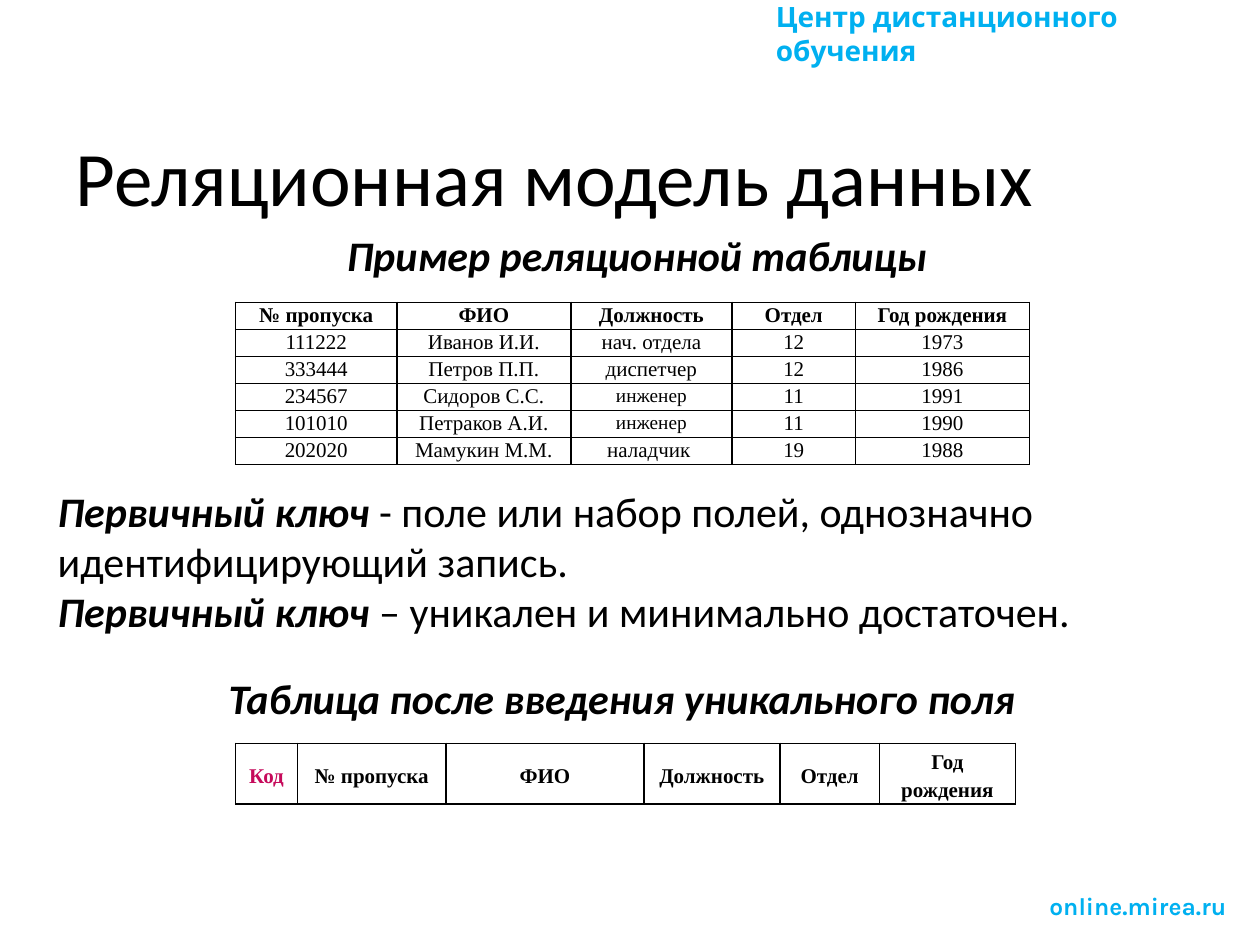
from lxml.etree import SubElement
from pptx import Presentation
from pptx.dml.color import RGBColor
from pptx.enum.text import MSO_ANCHOR as Anchor, MSO_AUTO_SIZE as AutoSize, PP_ALIGN as Align
from pptx.oxml.ns import qn
from pptx.util import Inches, Pt

COLORS = {"text": "000000", "brand": "00B0F0", "key": "C60A5B"}

TITLE = "Реляционная модель данных"
BRAND_LABELS = [
    ("Центр дистанционного обучения", 16, (6.06, -0.05, 3.94, 0.37)),
    ("online.mirea.ru", 14, (8.23, 7.02, 1.61, 0.34)),
]
CAPTIONS = [
    ("Пример реляционной таблицы", (0.5, 1.77, 9.11, 0.5)),
    ("Таблица после введения уникального поля", (1.69, 5.29, 6.49, 0.5)),
]
DEFINITIONS = [
    ("Первичный ключ", " - поле или набор полей, однозначно идентифицирующий запись."),
    ("Первичный ключ ", "– уникален и минимально достаточен."),
]
FIELDS = ["№ пропуска", "ФИО", "Должность", "Отдел", "Год рождения"]
EMPLOYEES = [
    ["111222", "Иванов И.И.", "нач. отдела", "12", "1973"],
    ["333444", "Петров П.П.", "диспетчер", "12", "1986"],
    ["234567", "Сидоров С.С.", "инженер", "11", "1991"],
    ["101010", "Петраков А.И.", "инженер", "11", "1990"],
    ["202020", "Мамукин М.М.", "наладчик ", "19", "1988"],
]
KEY_FIELD = "Код"
SMALL_CELL = "инженер"
TABLE_LEFT = 1.87


def add_run(paragraph, text, size, font="Calibri", color="text", bold=False, italic=False):
    run = paragraph.add_run()
    run.text = text
    run.font.name = font
    run.font.size = Pt(size)
    run.font.bold = bold
    run.font.italic = italic
    run.font.color.rgb = RGBColor.from_string(COLORS[color])


def add_text_box(slide, box):
    frame = slide.shapes.add_textbox(*map(Inches, box)).text_frame
    frame.word_wrap = True
    frame.auto_size = AutoSize.SHAPE_TO_FIT_TEXT
    return frame


def add_borders(cell):
    properties = cell._tc.get_or_add_tcPr()
    for side in ("a:lnL", "a:lnR", "a:lnT", "a:lnB"):
        line = SubElement(properties, qn(side), w=str(Pt(1)))
        fill = SubElement(line, qn("a:solidFill"))
        SubElement(fill, qn("a:srgbClr"), val=COLORS["text"])


def add_grid(slide, rows, widths, top, height, spacing, anchor):
    table = slide.shapes.add_table(
        len(rows), len(widths), Inches(TABLE_LEFT), Inches(top),
        Inches(sum(widths)), Inches(height),
    ).table
    table.first_row = table.horz_banding = False
    for column, width in zip(table.columns, widths):
        column.width = Inches(width)
    for row_index, row in enumerate(rows):
        for column_index, text in enumerate(row):
            cell = table.cell(row_index, column_index)
            add_borders(cell)
            cell.fill.background()
            cell.margin_left = cell.margin_right = Inches(0.03)
            cell.margin_top = cell.margin_bottom = 0
            cell.vertical_anchor = anchor
            paragraph = cell.text_frame.paragraphs[0]
            paragraph.alignment = Align.CENTER
            paragraph.line_spacing = spacing
            add_run(paragraph, text, 11 if text == SMALL_CELL else 12, "Times New Roman",
                    "key" if text == KEY_FIELD else "text", bold=row_index == 0)


presentation = Presentation()
presentation.slide_width, presentation.slide_height = Inches(10), Inches(7.5)
slide = presentation.slides.add_slide(presentation.slide_layouts[5])

for text, size, box in BRAND_LABELS:
    add_run(add_text_box(slide, box).paragraphs[0], text, size, "Karla", "brand", bold=True)

title = slide.shapes.title
title.left, title.top, title.width, title.height = map(Inches, (0.5, 1.06, 9, 0.76))
title.text_frame.auto_size = AutoSize.NONE
title.text_frame.vertical_anchor = Anchor.MIDDLE
paragraph = title.text_frame.paragraphs[0]
paragraph.alignment = Align.LEFT
paragraph.line_spacing = 0.9
add_run(paragraph, TITLE, 44)

for text, box in CAPTIONS:
    paragraph = add_text_box(slide, box).paragraphs[0]
    paragraph.alignment = Align.CENTER
    add_run(paragraph, text, 24, bold=True, italic=True)

add_grid(slide, [FIELDS] + EMPLOYEES, [1.28, 1.38, 1.28, 0.98, 1.38], 2.4, 1.28, 1.07, Anchor.TOP)
add_grid(slide, [[KEY_FIELD] + FIELDS], [0.49, 1.18, 1.57, 1.08, 0.79, 1.08], 5.9, 0.48, 1.2,
         Anchor.MIDDLE)

frame = add_text_box(slide, (0.36, 3.8, 9.32, 1.31))
for index, (term, meaning) in enumerate(DEFINITIONS):
    paragraph = frame.add_paragraph() if index else frame.paragraphs[0]
    add_run(paragraph, term, 24, bold=True, italic=True)
    add_run(paragraph, meaning, 24)

presentation.save("out.pptx")
